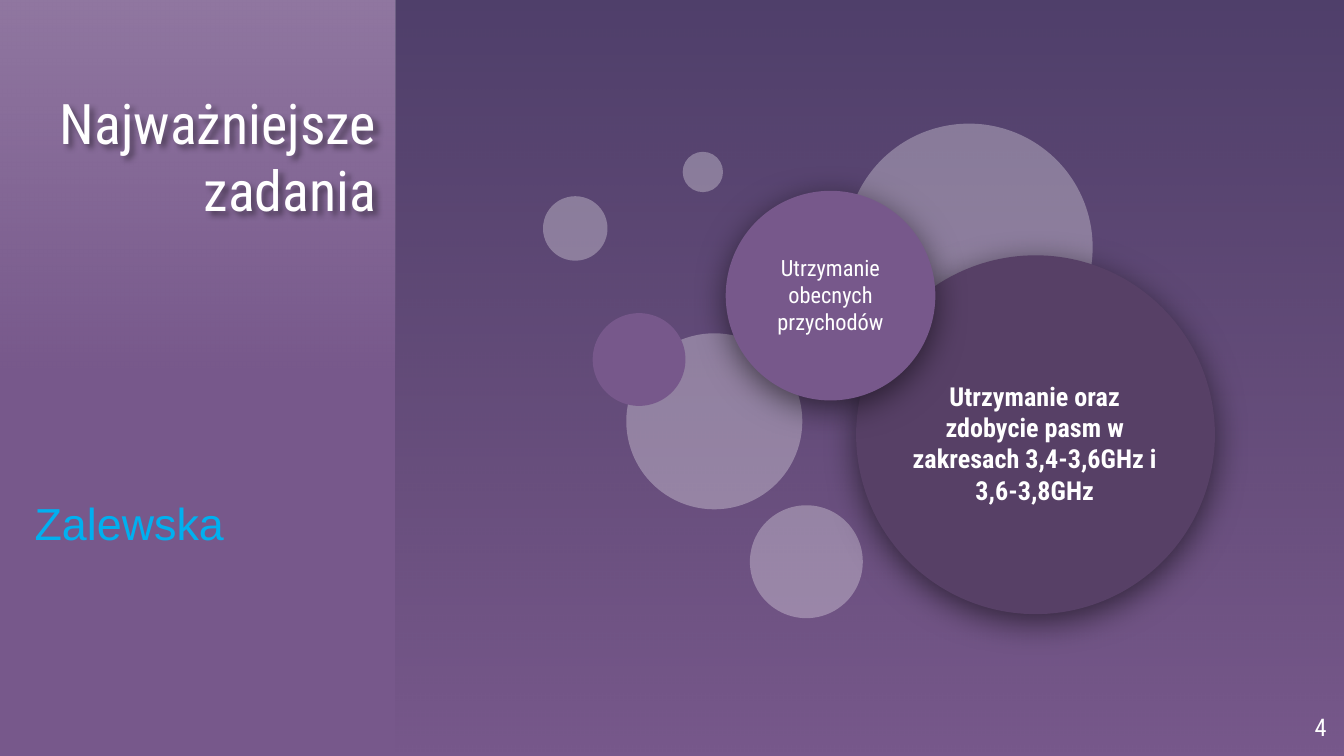
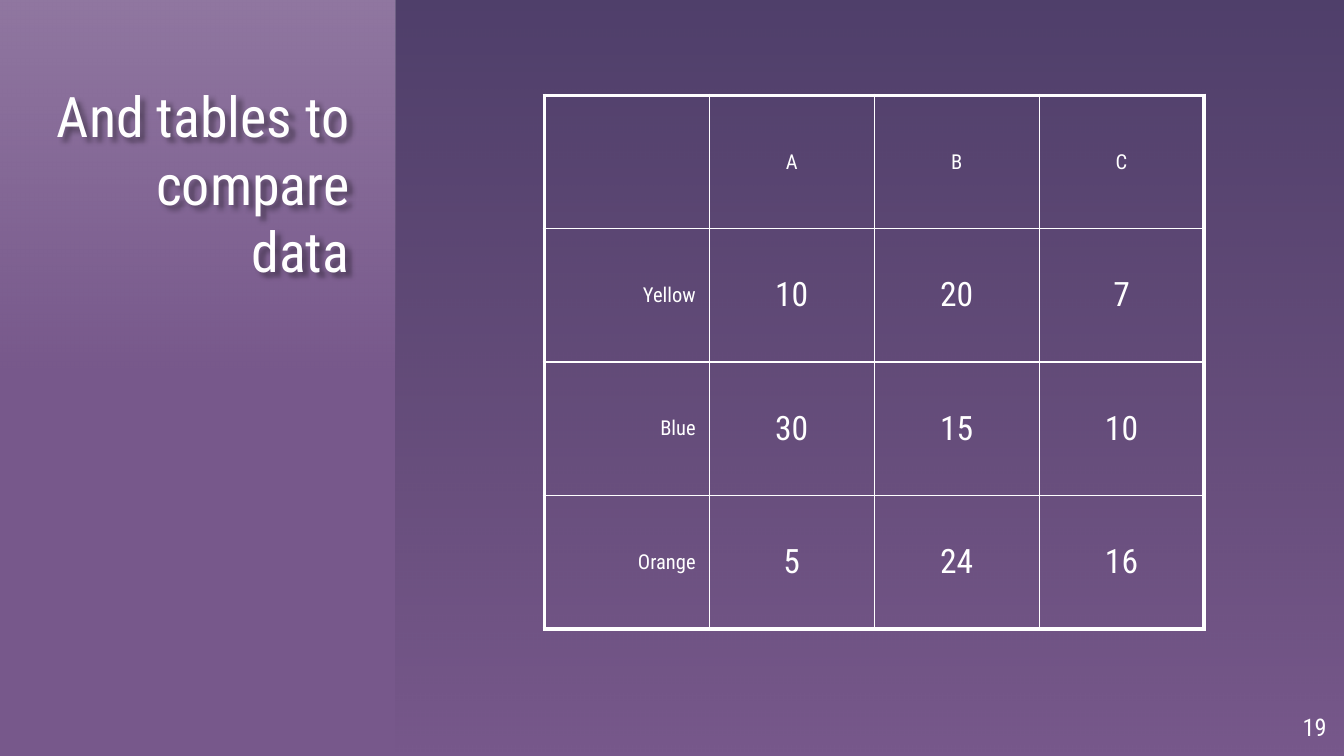
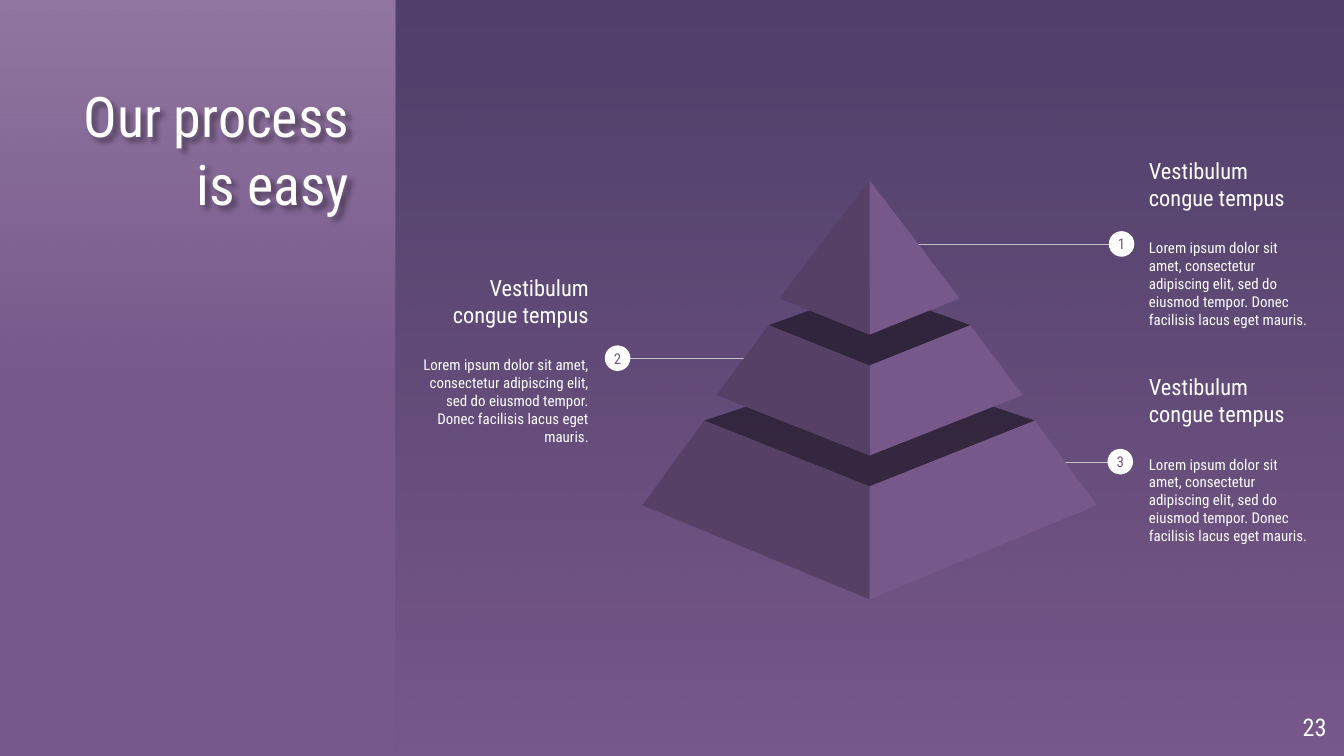
from lxml import etree
from pptx import Presentation
from pptx.dml.color import RGBColor
from pptx.enum import shapes, text
from pptx.oxml import parse_xml
from pptx.oxml.ns import nsdecls, qn
from pptx.util import Inches, Pt

WHITE = RGBColor(0xFF, 0xFF, 0xFF)
BLACK = RGBColor(0, 0, 0)
PLUM = RGBColor(0x77, 0x58, 0x8B)
DARK = RGBColor(0x57, 0x40, 0x66)
NAVY = RGBColor(0x02, 0x0F, 0x2B)
INK = RGBColor(0x01, 0x0C, 0x16)
GREY = RGBColor(0xC2, 0xC2, 0xC2)
CYAN = RGBColor(0, 0xB0, 0xF0)
FONT = "Roboto Condensed"
LEFT, MID, RIGHT = text.PP_ALIGN.LEFT, text.PP_ALIGN.CENTER, text.PP_ALIGN.RIGHT
TOP, CENTER = text.MSO_ANCHOR.TOP, text.MSO_ANCHOR.MIDDLE
OVAL, RECT = shapes.MSO_SHAPE.OVAL, shapes.MSO_SHAPE.RECTANGLE
SHADOW = ('<a:effectLst %s><a:outerShdw blurRad="%d" dist="%d" dir="%d">'
          '<a:srgbClr val="000000"><a:alpha val="%d"/></a:srgbClr>'
          '</a:outerShdw></a:effectLst>')


def write(frame, *lines, size=12, color=WHITE, font=FONT, bold=False, align=LEFT,
          anchor=TOP, inset=(0, 0, 0, 0), gap=0):
    """Fill a text frame; a line is a string or a (string, size) pair."""
    frame.word_wrap = True
    frame.auto_size = text.MSO_AUTO_SIZE.NONE
    frame.vertical_anchor = anchor
    (frame.margin_left, frame.margin_top,
     frame.margin_right, frame.margin_bottom) = map(Inches, inset)
    for i, line in enumerate(lines):
        words, points = line if isinstance(line, tuple) else (line, size)
        par = frame.paragraphs[0] if i == 0 else frame.add_paragraph()
        par.alignment = align
        if i < len(lines) - 1:
            par.space_after = Pt(gap)
        run = par.add_run()
        run.text = words
        run.font.size, run.font.bold, run.font.name = Pt(points), bold, font
        run.font.color.rgb = color


def paint(shape, *colors, alphas=(), shadow=False):
    """Give one solid colour, or two for a downward gradient; alphas in percent."""
    shape.line.fill.background()
    shape.shadow.inherit = False
    if len(colors) == 1:
        shape.fill.solid()
        shape.fill.fore_color.rgb = colors[0]
    else:
        shape.fill.gradient()
        shape.fill.gradient_angle = 270
        for stop, color in zip(shape.fill.gradient_stops, colors):
            stop.color.rgb = color
    props = shape.element.spPr
    for node, alpha in zip(list(props.iter(qn("a:srgbClr"))), alphas):
        if alpha < 100:
            etree.SubElement(node, qn("a:alpha")).set("val", str(alpha * 1000))
    if shadow:
        props.remove(props.find(qn("a:effectLst")))
        props.append(parse_xml(SHADOW % (nsdecls("a"), Pt(18), Pt(4), 5400000, 55000)))


deck = Presentation()
deck.slide_width = Inches(10)
deck.slide_height = deck.slide_width * 9 // 16

# Shared layout: background, title place and two bands
base = deck.slide_layouts[5]
base.background.fill.solid()
base.background.fill.fore_color.rgb = PLUM
for holder in list(base.placeholders):
    if holder.placeholder_format.idx:
        holder.element.getparent().remove(holder.element)
    else:
        holder.left, holder.top = Inches(0.34), Inches(0.61)
        holder.width, holder.height = Inches(2.26), Inches(4.44)

pages = []
for title, number in [("Najważniejsze zadania", "4"),
                      ("And tables to compare data", "19"),
                      ("Our process is easy", "23")]:
    page = deck.slides.add_slide(base)
    head = page.shapes.title
    write(head.text_frame, title, size=30, align=RIGHT)
    head.element.spPr.append(parse_xml(
        SHADOW % (nsdecls("a"), Pt(3), Pt(3), 2700000, 40000)))
    box = page.shapes.add_textbox(Inches(9.27), Inches(5.19), Inches(0.6), Inches(0.43))
    write(box.text_frame, number, size=13, align=RIGHT, anchor=CENTER)
    pages.append(page)
tasks, data, steps = pages

for i, (place, colors, alphas) in enumerate([
        ((2.94, -0.01, 7.06, 5.64), (NAVY, INK), (34, 0)),
        ((-0.01, -0.01, 2.95, 2.83), (WHITE, WHITE), (19, 0))]):
    band = tasks.shapes.add_shape(RECT, *map(Inches, place))
    paint(band, *colors, alphas=alphas)
    base.shapes.element.insert(2 + i, band.element)

# Tasks: bubbles
head = tasks.shapes.title
head.left, head.top = Inches(0.16), Inches(0.66)
head.width, head.height = Inches(2.64), Inches(4.44)
for x, y, size, color, alpha in [
        (5.58, 3.76, 0.84, WHITE, 30), (4.04, 1.46, 0.48, WHITE, 30),
        (4.66, 2.48, 1.31, WHITE, 30), (6.29, 0.92, 1.84, WHITE, 30),
        (4.41, 2.33, 0.69, PLUM, 100), (5.08, 1.13, 0.3, WHITE, 30)]:
    dot = tasks.shapes.add_shape(OVAL, *map(Inches, (x, y, size, size)))
    paint(dot, color, alphas=[alpha])
for x, y, size, color, words, place, style in [
        (6.37, 1.9, 2.67, DARK,
         "Utrzymanie oraz zdobycie pasm w zakresach 3,4-3,6GHz i 3,6-3,8GHz",
         (6.68, 2.66, 2.04, 1.27), dict(size=14, bold=True)),
        (5.4, 1.42, 1.56, PLUM, "Utrzymanie obecnych przychodów",
         (5.65, 1.68, 1.06, 1.03), dict(size=12))]:
    ball = tasks.shapes.add_shape(OVAL, *map(Inches, (x, y, size, size)))
    paint(ball, color, shadow=True)
    label = tasks.shapes.add_shape(RECT, *map(Inches, place))
    paint(label, color)
    write(label.text_frame, words, align=MID, anchor=CENTER,
          inset=(0.1, 0.1, 0.1, 0.1), **style)
name = tasks.shapes.add_textbox(Inches(0.16), Inches(3.64), Inches(2.64), Inches(0.5))
write(name.text_frame, "Zalewska", size=24, color=CYAN, font="Arial",
      inset=(0.1, 0.05, 0.1, 0.05))

# Data: table
rows = [("", "A", "B", "C"),
        ("Yellow", "10", "20", "7"),
        ("Blue", "30", "15", "10"),
        ("Orange", "5", "24", "16")]
last = len(rows) - 1
grid = data.shapes.add_table(4, 4, Inches(4.05), Inches(0.71),
                             Inches(4.91), Inches(3.97)).table
grid.first_row = grid.horz_banding = False
for r, row in enumerate(rows):
    for c, value in enumerate(row):
        cell = grid.cell(r, c)
        cell.fill.background()
        cell.vertical_anchor = CENTER
        cell.margin_left = cell.margin_right = Inches(0.1)
        cell.margin_top = cell.margin_bottom = Inches(0.07)
        par = cell.text_frame.paragraphs[0]
        par.alignment = MID if c else RIGHT
        if value:
            run = par.add_run()
            run.text = value
            run.font.size = Pt(18 if r and c else 11)
            run.font.name, run.font.color.rgb = FONT, WHITE
        edges = [("L", c == 0), ("R", c == last), ("T", r == 0), ("B", r == last)]
        for i, (side, outer) in enumerate(edges):
            cell._tc.get_or_add_tcPr().insert(i, parse_xml(
                '<a:ln%s %s w="%d"><a:solidFill><a:srgbClr val="%s"/></a:solidFill></a:ln%s>'
                % (side, nsdecls("a"), Pt(2.25 if outer else 0.75), WHITE, side)))

# Steps: numbered notes
for number, x, y, start, left, top, width, align in [
        ("3", 8.24, 3.34, 7.87, 8.45, 2.75, 1.42, LEFT),
        ("1", 8.25, 1.72, 6.79, 8.45, 1.14, 1.42, LEFT),
        ("2", 4.5, 2.57, 5.56, 3.03, 2.01, 1.45, RIGHT)]:
    line = steps.shapes.add_connector(shapes.MSO_CONNECTOR.STRAIGHT, *map(
        Inches, (start, y + 0.1, x + 0.1, y + 0.1)))
    line.line.color.rgb, line.line.width = GREY, Pt(0.75)
    etree.SubElement(line.element.spPr, qn("a:effectLst"))
    note = steps.shapes.add_textbox(*map(Inches, (left, top, width, 1.33)))
    write(note.text_frame, "Vestibulum congue tempus",
          ("Lorem ipsum dolor sit amet, consectetur adipiscing elit, sed do "
           "eiusmod tempor. Donec facilisis lacus eget mauris.", 8),
          align=align, anchor=CENTER, inset=(0.1, 0.1, 0.1, 0.1), gap=15)
    dot = steps.shapes.add_shape(OVAL, *map(Inches, (x, y, 0.19, 0.19)))
    paint(dot, WHITE)
    write(dot.text_frame, number, size=8, color=PLUM, align=MID, anchor=CENTER)

# Steps: pyramid from the bottom up, each right face mirroring the left one
AXIS = 6.47
for back, face in [
        (2.72, [(5.24, 3.13), (AXIS, 3.62), (AXIS, 4.46), (4.78, 3.76)]),
        (2.15, [(5.72, 2.42), (AXIS, 2.72), (AXIS, 3.39), (5.33, 2.94)]),
        (None, [(AXIS, 1.34), (AXIS, 2.49), (5.8, 2.22)])]:
    flip = [(2 * AXIS - x, y) for x, y in face]
    parts = [(face, DARK, 100), (flip, PLUM, 100)]
    if back:
        parts.insert(0, ([face[0], face[1], flip[0], (AXIS, back)], BLACK, 49))
    for points, color, alpha in parts:
        points = [(Inches(x), Inches(y)) for x, y in points]
        path = steps.shapes.build_freeform(*points[0])
        path.add_line_segments(points[1:])
        paint(path.convert_to_shape(), color, alphas=[alpha])

deck.save("out.pptx")
